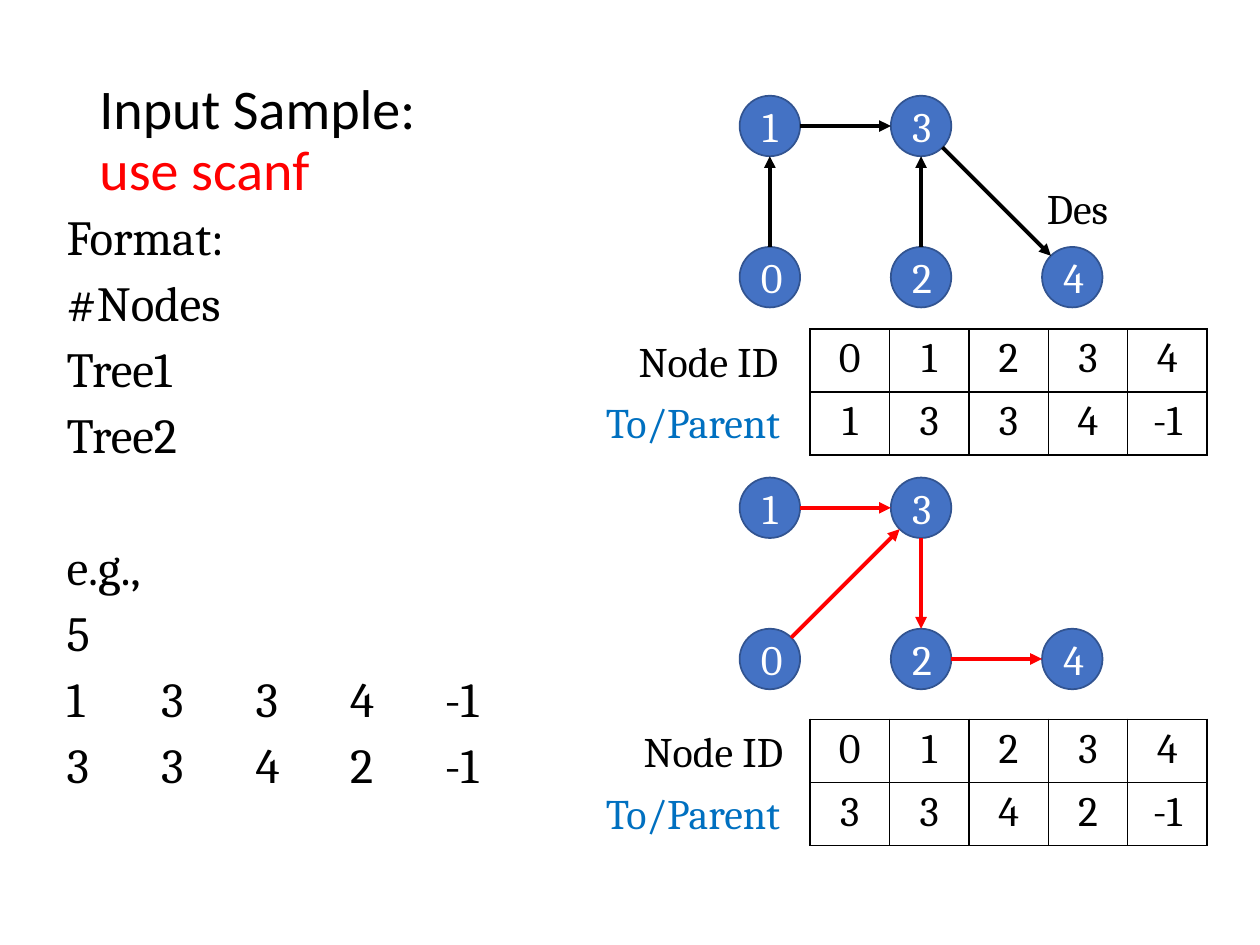
from math import hypot

from lxml.etree import SubElement
from pptx import Presentation
from pptx.dml.color import RGBColor
from pptx.enum.shapes import MSO_CONNECTOR as Connector, MSO_SHAPE as Shape
from pptx.enum.text import MSO_ANCHOR as Anchor, PP_ALIGN as Align
from pptx.oxml import parse_xml
from pptx.oxml.ns import nsdecls, qn
from pptx.util import Inches, Pt

BLACK, RED, BLUE, WHITE = "000000", "FF0000", "0070C0", "FFFFFF"
NODE_FILL, NODE_LINE = "4472C4", "325491"
NODE_SIZE, NODE_STEP, GRAPH_LEFT = 0.48, 1.2, 5.87
NODE_GRID = {0: (0, 1), 1: (0, 0), 2: (1, 1), 3: (1, 0), 4: (2, 1)}
TABLE_LEFT, CELL_WIDTH, CELL_HEIGHT = 6.43, 0.63, 0.48
TAB_STEP = 0.75


def style(para, color, size=24, name="Cambria"):
    para.font.size, para.font.name = Pt(size), name
    para.font.color.rgb = RGBColor.from_string(color)


def add_label(text, left, top, width, color):
    box = page.shapes.add_textbox(Inches(left), Inches(top), Inches(width), Inches(0.5))
    box.text_frame.word_wrap = True
    para = box.text_frame.paragraphs[0]
    para.text = text
    style(para, color)


deck = Presentation()
deck.slide_width, deck.slide_height = Inches(10), Inches(7.5)
page = deck.slides.add_slide(deck.slide_layouts[6])

# Title
title = page.shapes.add_textbox(Inches(0.69), Inches(0.4), Inches(8.62), Inches(1.45))
title.text_frame.word_wrap = True
title.text_frame.vertical_anchor = Anchor.MIDDLE
para = title.text_frame.paragraphs[0]
para.line_spacing = 0.9
style(para, BLACK, 32, "Calibri")
para.add_run().text = "Input Sample:"
para.add_line_break()
span = para.add_run()
span.text = "use scanf"
span.font.color.rgb = RGBColor.from_string(RED)
# The line break keeps the title's size
para._p.find(qn("a:br")).append(parse_xml(f'<a:rPr {nsdecls("a")} sz="3200"/>'))

# Input format and example
body = page.shapes.add_textbox(Inches(0.43), Inches(1.64), Inches(9.29), Inches(4.94))
body.text_frame.word_wrap = True
lines = ["Format:", "#Nodes", "Tree1", "Tree2", "e.g.,", "5",
         "1\t3\t3\t4\t-1", "3\t3\t4\t2\t-1"]
for index, line in enumerate(lines):
    para = body.text_frame.paragraphs[0] if index == 0 else body.text_frame.add_paragraph()
    para.text = line
    para.line_spacing = 0.9
    if index:
        para.space_before = Pt(45 if line == "e.g.," else 7.5)
    if "\t" in line:
        tabs = SubElement(para._p.get_or_add_pPr(), qn("a:tabLst"))
        for stop in range(1, 5):
            SubElement(tabs, qn("a:tab"), pos=str(Inches(TAB_STEP * stop)), algn="l")
    style(para, BLACK, 28)

# Each tree: graph top, table top, Node ID left, edge colour, parent of each node, edges
trees = [
    (0.76, 2.61, 4.97, BLACK, [1, 3, 3, 4, -1]),
    (3.79, 5.71, 5.01, RED, [3, 3, 4, 2, -1]),
]
for graph_top, table_top, id_left, edge_color, parents in trees:
    centers = {}
    for node, (col, row) in NODE_GRID.items():
        left, top = GRAPH_LEFT + col * NODE_STEP, graph_top + row * NODE_STEP
        centers[node] = left + NODE_SIZE / 2, top + NODE_SIZE / 2
        circle = page.shapes.add_shape(Shape.OVAL, Inches(left), Inches(top),
                                       Inches(NODE_SIZE), Inches(NODE_SIZE))
        circle.shadow.inherit = False
        circle.fill.solid()
        circle.fill.fore_color.rgb = RGBColor.from_string(NODE_FILL)
        circle.line.color.rgb = RGBColor.from_string(NODE_LINE)
        circle.line.width = Pt(1)
        circle.text_frame.vertical_anchor = Anchor.MIDDLE
        para = circle.text_frame.paragraphs[0]
        para.text = str(node)
        para.alignment = Align.CENTER
        style(para, WHITE)

    # Arrows run from rim to rim, along the line between the centres
    for node, parent in enumerate(parents):
        if parent < 0:
            continue
        (x1, y1), (x2, y2) = centers[node], centers[parent]
        share = NODE_SIZE / 2 / hypot(x2 - x1, y2 - y1)
        dx, dy = (x2 - x1) * share, (y2 - y1) * share
        arrow = page.shapes.add_connector(
            Connector.STRAIGHT, Inches(x1 + dx), Inches(y1 + dy),
            Inches(x2 - dx), Inches(y2 - dy))
        arrow.line.color.rgb = RGBColor.from_string(edge_color)
        arrow.line.width = Pt(2.25)
        SubElement(arrow.line._get_or_add_ln(), qn("a:tailEnd"), type="triangle")
        SubElement(arrow._element.spPr, qn("a:effectLst"))

    # Parent table
    rows = [range(len(parents)), parents]
    table = page.shapes.add_table(
        2, len(parents), Inches(TABLE_LEFT), Inches(table_top),
        Inches(CELL_WIDTH * len(parents)), Inches(CELL_HEIGHT * 2)).table
    table.first_row = table.horz_banding = False
    for row, values in enumerate(rows):
        for col, value in enumerate(values):
            cell = table.cell(row, col)
            for side in ("lnL", "lnR", "lnT", "lnB"):
                cell._tc.get_or_add_tcPr().append(parse_xml(
                    f'<a:{side} {nsdecls("a")} w="{Pt(1)}"><a:solidFill>'
                    f'<a:srgbClr val="{BLACK}"/></a:solidFill></a:{side}>'))
            cell.fill.background()
            para = cell.text_frame.paragraphs[0]
            para.text = str(value)
            para.alignment = Align.CENTER
            style(para, BLACK)

    add_label("Node ID", id_left, table_top, 1.44, BLACK)
    add_label("To/Parent", 4.71, table_top + 0.49, 1.74, BLUE)

add_label("Des", 8.21, 1.4, 0.73, BLACK)

deck.save("out.pptx")
